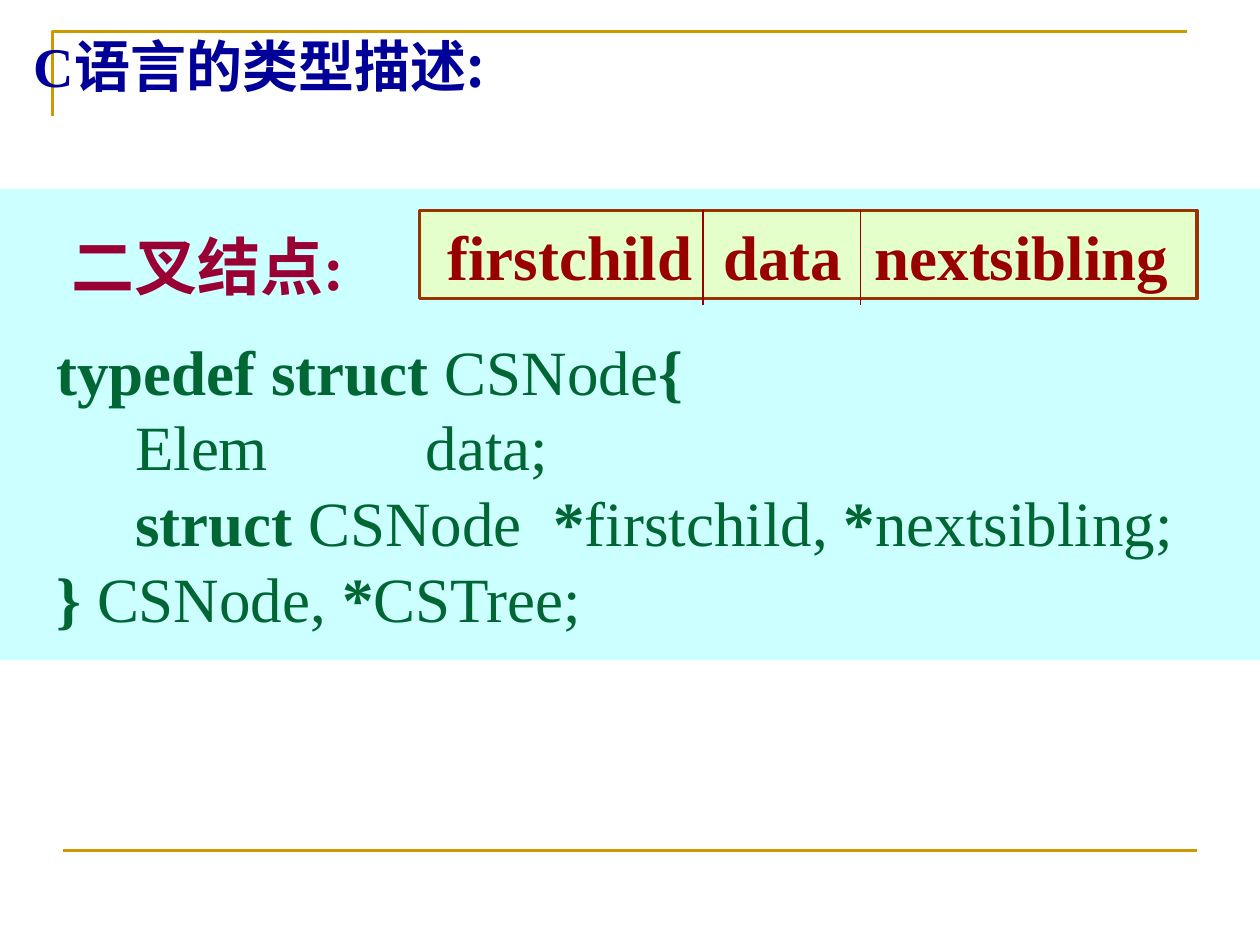
"""Build a slide describing the child-sibling tree node type in C."""
from lxml.etree import SubElement
from pptx import Presentation
from pptx.dml.color import RGBColor
from pptx.enum.shapes import MSO_CONNECTOR, MSO_SHAPE
from pptx.enum.text import MSO_ANCHOR, PP_ALIGN
from pptx.oxml.ns import qn
from pptx.util import Pt

COLORS = {
    "rule": "CC9900", "title": "000099", "panel": "CCFFFF", "code": "006633",
    "heading": "990033", "node_fill": "FFFF99", "node_line": "993300",
    "node_text": "990000",
}
LATIN, CHINESE = "Times New Roman", "Noto Sans CJK SC"
CODE_LINES = [
    [("typedef struct", True), (" CSNode", False), ("{", True)],
    [("     Elem\tdata;", False)],
    [("     ", False), ("struct", True), (" CSNode  ", False), ("*", True),
     ("firstchild, ", False), ("*", True), ("nextsibling;", False)],
    [("}", True), (" CSNode, ", False), ("*", True), ("CSTree;", False)],
]


def color(name):
    return RGBColor.from_string(COLORS[name])


def add_span(para, text, *, size, fill, bold=True, font=LATIN):
    span = para.add_run()
    span.text = text
    span.font.size, span.font.bold, span.font.name = Pt(size), bold, font
    span.font.color.rgb = color(fill)
    SubElement(span.font._element, qn("a:ea"), typeface=CHINESE)


def add_tabs(para, *stops):
    tabs = SubElement(para._p.get_or_add_pPr(), qn("a:tabLst"))
    for stop in stops:
        SubElement(tabs, qn("a:tab"), pos=str(Pt(stop)), algn="l")


def add_box(page, left, top, width, height, wrap=False):
    box = page.shapes.add_textbox(Pt(left), Pt(top), Pt(width), Pt(height))
    box.text_frame.word_wrap = wrap
    return box.text_frame


def add_rectangle(page, left, top, width, height, fill):
    shape = page.shapes.add_shape(MSO_SHAPE.RECTANGLE, Pt(left), Pt(top), Pt(width), Pt(height))
    shape.shadow.inherit = False
    shape.fill.solid()
    shape.fill.fore_color.rgb = color(fill)
    shape.line.fill.background()
    return shape


def add_line(page, start, end, stroke, width):
    line = page.shapes.add_connector(MSO_CONNECTOR.STRAIGHT, *map(Pt, start + end))
    line.line.color.rgb = color(stroke)
    line.line.width = Pt(width)
    SubElement(line._element.spPr, qn("a:effectLst"))


def add_frame(page):
    builder = page.shapes.build_freeform(Pt(30.2), Pt(66.2))
    builder.add_line_segments([(Pt(30.2), Pt(18)), (Pt(678.2), Pt(18))], close=False)
    corner = builder.convert_to_shape()
    corner.shadow.inherit = False
    corner.fill.background()
    corner.line.color.rgb = color("rule")
    corner.line.width = Pt(1.5)
    add_line(page, (36, 486), (684, 486), "rule", 1.5)


def add_title(page):
    para = add_box(page, 12.2, 14.4, 293, 46.1).paragraphs[0]
    add_span(para, "C", size=32, fill="title")
    add_span(para, "语言的类型描述:", size=32, fill="title", font=CHINESE)


def add_code(page):
    frame = add_box(page, 25.2, 186.4, 665.3, 180, wrap=True)
    for number, line in enumerate(CODE_LINES):
        para = frame.add_paragraph() if number else frame.paragraphs[0]
        para.line_spacing = Pt(43.2)
        add_tabs(para, 211)
        for text, bold in line:
            add_span(para, text, size=36, fill="code", bold=bold)


def add_heading(page):
    para = add_box(page, 33.8, 120.2, 178.6, 56.9).paragraphs[0]
    para.line_spacing = 1.15
    add_span(para, "二叉结点:", size=36, fill="heading")


def add_node(page):
    node = add_rectangle(page, 239.8, 120.2, 444.2, 50.4, "node_fill")
    SubElement(node.fill._xPr.find(".//" + qn("a:srgbClr")), qn("a:alpha"), val="50000")
    node.line.color.rgb = color("node_line")
    node.line.width = Pt(2)
    frame = node.text_frame
    frame.vertical_anchor = MSO_ANCHOR.TOP
    frame.margin_left, frame.margin_top, frame.margin_bottom = Pt(16), Pt(4.2), 0
    para = frame.paragraphs[0]
    para.alignment = PP_ALIGN.LEFT
    add_tabs(para, 157.5, 244)
    add_span(para, "firstchild\tdata\tnextsibling", size=36, fill="node_text")
    for left in (401.8, 491.8):
        add_line(page, (left, 120.2), (left, 174.2), "node_text", 1)


def main():
    deck = Presentation()
    deck.slide_width, deck.slide_height = Pt(720), Pt(540)
    page = deck.slides.add_slide(deck.slide_layouts[6])
    add_frame(page)
    add_title(page)
    add_rectangle(page, 0, 108, 720, 269.3, "panel")
    add_code(page)
    add_heading(page)
    add_node(page)
    deck.save("out.pptx")


if __name__ == "__main__":
    main()
